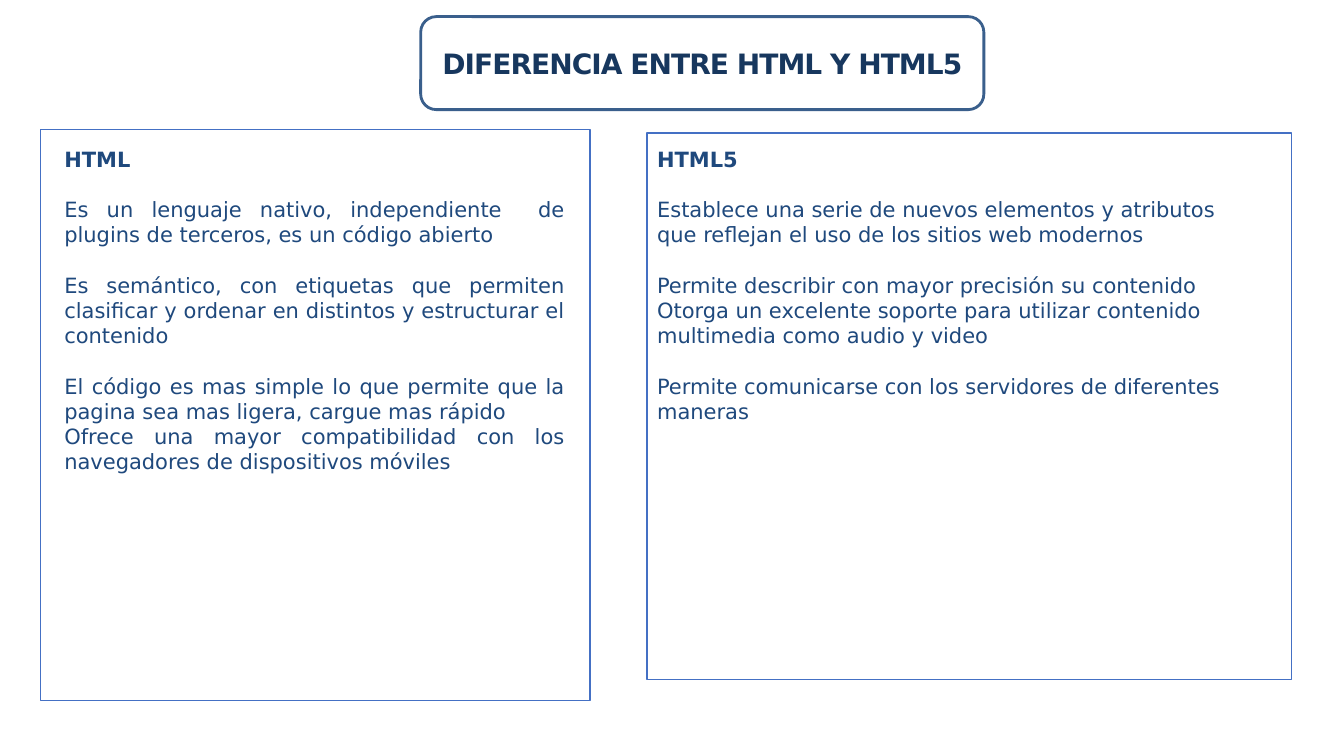
from dataclasses import dataclass

from pptx import Presentation
from pptx.dml.color import RGBColor
from pptx.enum.shapes import MSO_SHAPE
from pptx.enum.text import MSO_ANCHOR, PP_ALIGN
from pptx.util import Inches, Pt

WIDTH, HEIGHT = 13.33, 7.5


@dataclass(frozen=True)
class Theme:
    font: str = "DejaVu Sans"
    title_size: float = 20
    body_size: float = 15
    gap: float = 18
    title_color: str = "17375E"
    text_color: str = "1F497D"
    title_border: str = "3A5F8C"
    panel_border: str = "4470C4"
    panel_fill: str = "FFFFFF"


THEME = Theme()

# Each paragraph: text, and whether a blank line's gap precedes it
HTML_POINTS = [
    ("Es un lenguaje nativo, independiente  de plugins de terceros, es un código abierto", True),
    ("Es semántico, con etiquetas que permiten clasificar y ordenar en distintos "
     "y estructurar el contenido", True),
    ("El código es mas simple lo que permite que la pagina sea mas ligera, "
     "cargue mas rápido", True),
    ("Ofrece una mayor compatibilidad con los navegadores de dispositivos móviles", False),
]
HTML5_POINTS = [
    ("Establece una serie de nuevos elementos y atributos que reflejan el uso "
     "de los sitios web modernos", True),
    ("Permite describir con mayor precisión su contenido", True),
    ("Otorga un excelente soporte para utilizar contenido multimedia como audio y video", False),
    ("Permite comunicarse con los servidores de diferentes maneras", True),
]


def place(left, top, width, height):
    """Turn shares of the slide's size into lengths."""
    return (Inches(left * WIDTH), Inches(top * HEIGHT),
            Inches(width * WIDTH), Inches(height * HEIGHT))


def write(paragraph, text, *, size=THEME.body_size, color=THEME.text_color,
          bold=False, align=PP_ALIGN.LEFT, before=0, spacing=0):
    paragraph.alignment = align
    paragraph.space_before = Pt(before)
    run = paragraph.add_run()
    run.text = text
    run.font.name = THEME.font
    run.font.size = Pt(size)
    run.font.bold = bold
    run.font.color.rgb = RGBColor.from_string(color)
    if spacing:
        run.font._element.set("spc", str(round(spacing * 100)))


def add_frame(slide, box, kind, border, weight, fill=None):
    frame = slide.shapes.add_shape(kind, *place(*box))
    frame.shadow.inherit = False
    frame.line.color.rgb = RGBColor.from_string(border)
    frame.line.width = Pt(weight)
    if fill:
        frame.fill.solid()
        frame.fill.fore_color.rgb = RGBColor.from_string(fill)
    else:
        frame.fill.background()
    return frame


def add_title(slide, box, title):
    banner = add_frame(slide, box, MSO_SHAPE.ROUNDED_RECTANGLE, THEME.title_border, 2)
    banner.text_frame.word_wrap = True
    banner.text_frame.vertical_anchor = MSO_ANCHOR.MIDDLE
    write(banner.text_frame.paragraphs[0], title, size=THEME.title_size,
          color=THEME.title_color, bold=True, align=PP_ALIGN.CENTER, spacing=-0.7)


def add_panel(slide, box, heading, points, *, inset, text_share,
              align=PP_ALIGN.LEFT, fill=None):
    """Frame with a heading and points; inset and text_share position the text."""
    add_frame(slide, box, MSO_SHAPE.RECTANGLE, THEME.panel_border, 0.96, fill)
    left, top, width, height = box
    dx, dy = inset
    share_x, share_y = text_share
    body = slide.shapes.add_textbox(
        *place(left + dx, top + dy, width * share_x, height * share_y)).text_frame
    body.word_wrap = True
    write(body.paragraphs[0], heading, bold=True)
    for point, gap in points:
        write(body.add_paragraph(), point, align=align, before=THEME.gap if gap else 0)


def build_comparison(prs):
    slide = prs.slides.add_slide(prs.slide_layouts[6])
    # Left column: HTML
    add_panel(slide, (0.03, 0.171, 0.409, 0.756), "HTML", HTML_POINTS,
              inset=(0.0105, 0.016), text_share=(0.947, 0.64), align=PP_ALIGN.JUSTIFY)
    # Title
    add_title(slide, (0.313, 0.022, 0.419, 0.123), "DIFERENCIA ENTRE HTML Y HTML5")
    # Right column: HTML5
    add_panel(slide, (0.4815, 0.176, 0.4795, 0.723), "HTML5", HTML5_POINTS,
              inset=(0, 0.011), text_share=(0.94, 0.53), fill=THEME.panel_fill)


def main():
    prs = Presentation()
    prs.slide_width, prs.slide_height = Inches(WIDTH), Inches(HEIGHT)
    build_comparison(prs)
    prs.save("out.pptx")


if __name__ == "__main__":
    main()
